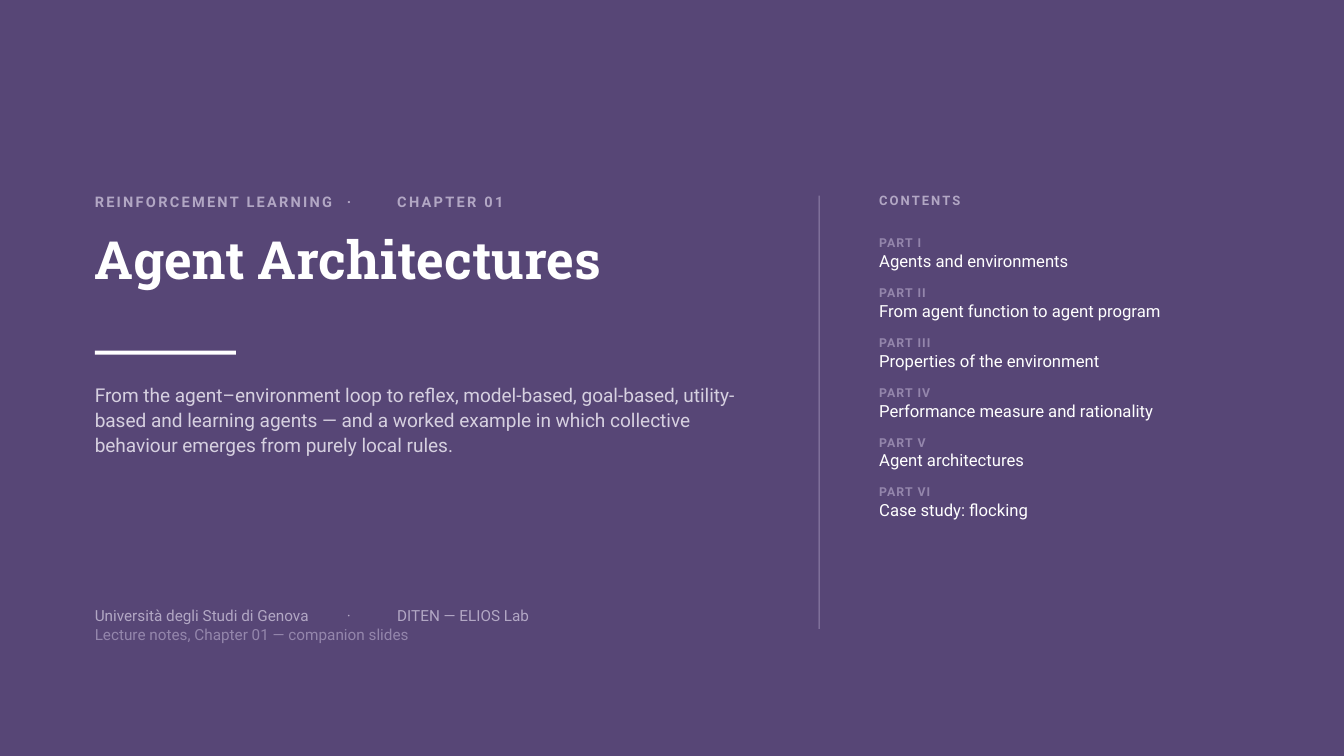
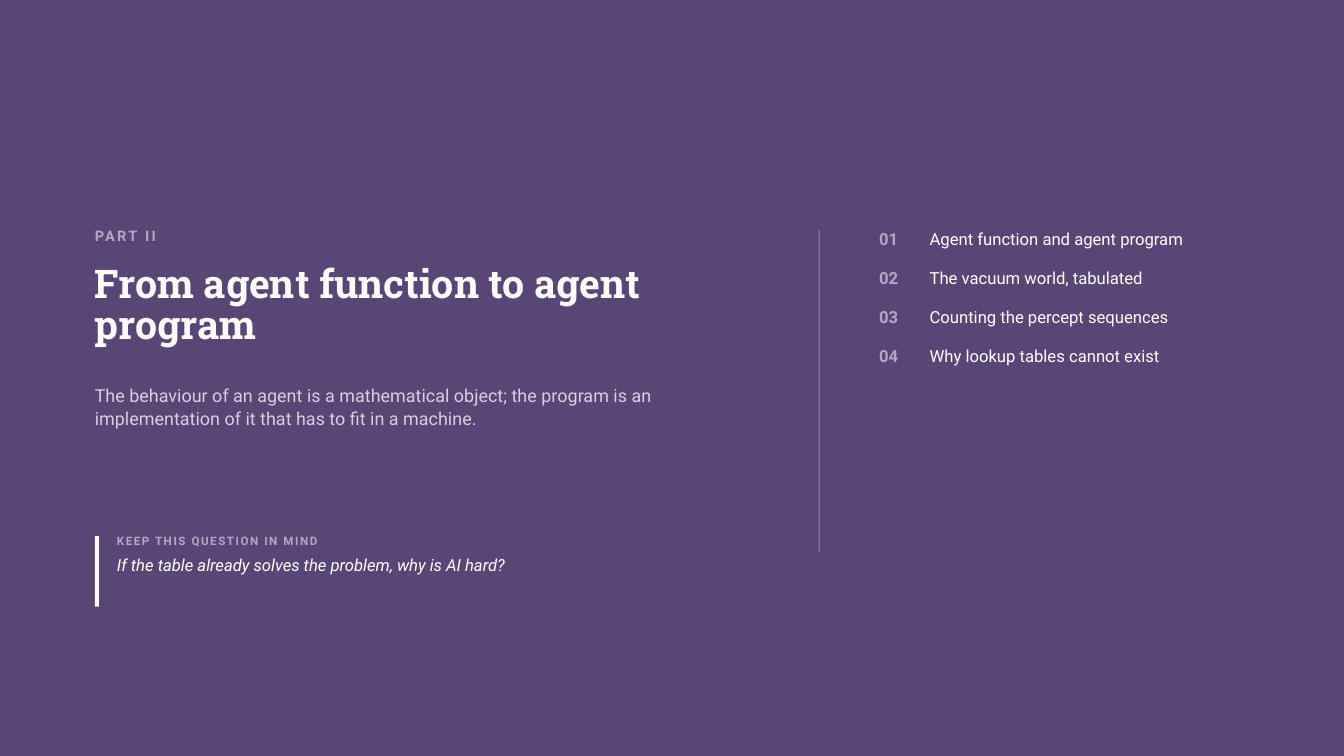
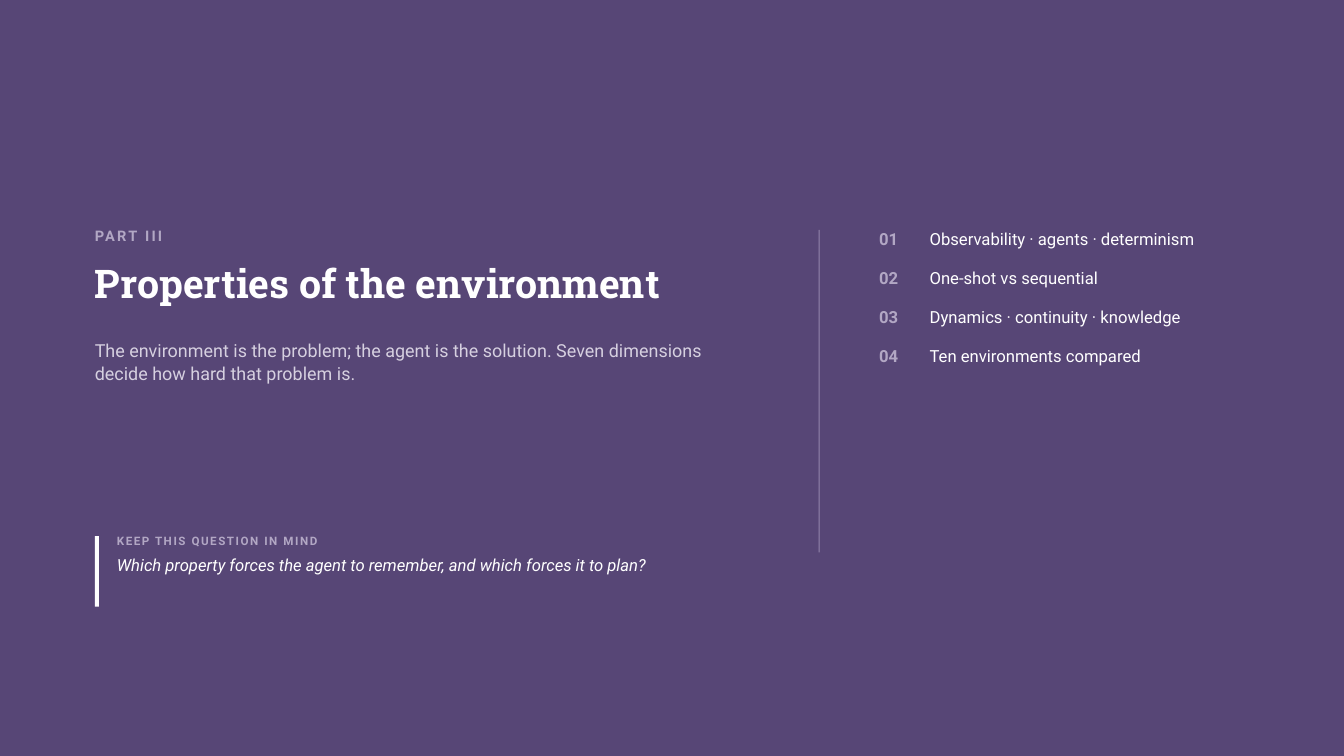
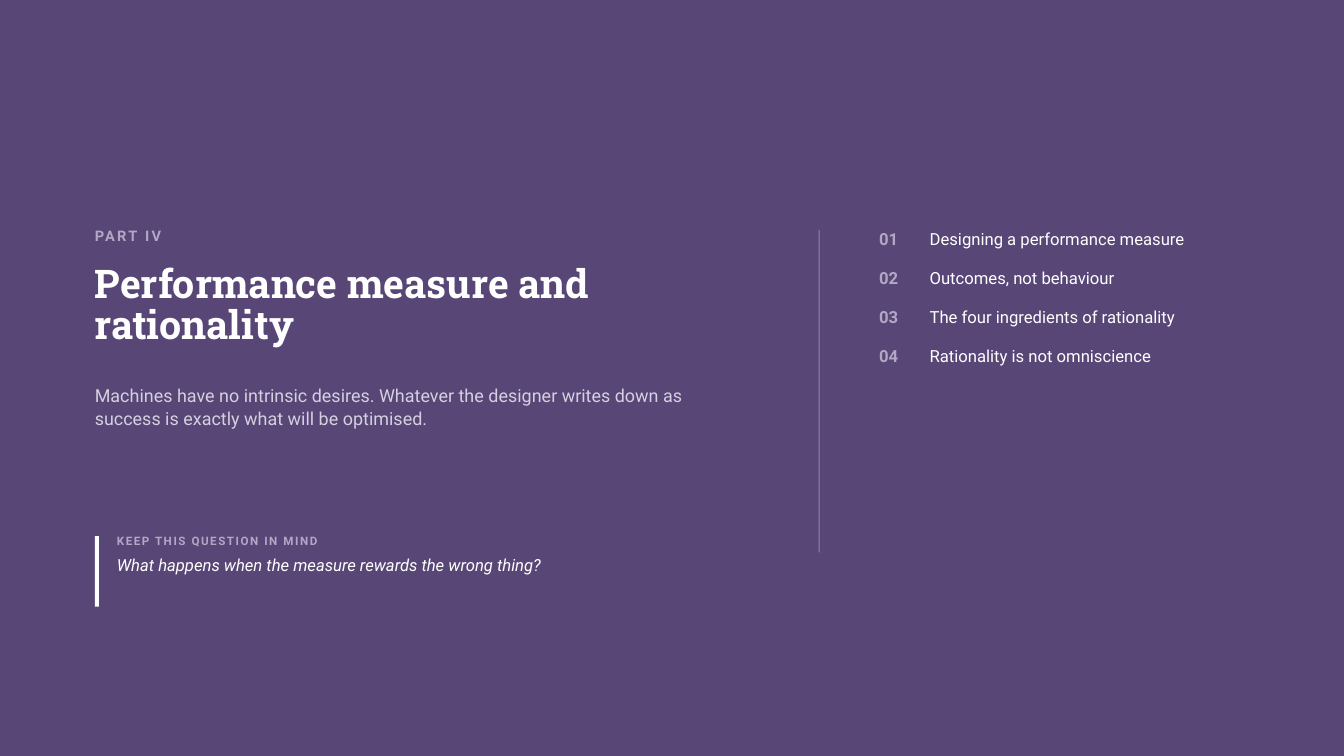
from dataclasses import dataclass, field

from lxml.etree import SubElement
from pptx import Presentation
from pptx.dml.color import RGBColor
from pptx.enum.shapes import MSO_SHAPE
from pptx.enum.text import MSO_ANCHOR, MSO_AUTO_SIZE, PP_ALIGN
from pptx.oxml.ns import qn
from pptx.presentation import Presentation as Deck
from pptx.slide import Slide
from pptx.text.text import TextFrame
from pptx.util import Inches, Pt


# Theme: colours and text styles
@dataclass(frozen=True)
class Style:
    size: float
    line: float
    color: str
    bold: bool = False
    italic: bool = False
    spacing: float = 0
    font: str = "Roboto"


@dataclass(frozen=True)
class Theme:
    ground: str = "574676"
    white: str = "FFFFFF"
    rule: str = "9486AC"
    eyebrow: Style = Style(10.4, 10.4, "B2A7C4", bold=True, spacing=1.6)
    cover_title: Style = Style(37.6, 38.4, "FFFFFF", bold=True, font="Roboto Slab")
    part_title: Style = Style(28.2, 29.9, "FFFFFF", bold=True, font="Roboto Slab")
    cover_lead: Style = Style(13.6, 18, "D6D0E0")
    part_lead: Style = Style(12.8, 16.4, "D6D0E0")
    affiliation: Style = Style(10.9, 10.9, "B2A7C4")
    notes: Style = Style(10.9, 10.9, "9486AC")
    contents: Style = Style(9.3, 9.3, "B2A7C4", bold=True, spacing=1.5)
    part_label: Style = Style(8.8, 8.8, "9486AC", bold=True, spacing=0.8)
    part_name: Style = Style(11.9, 12.8, "FFFFFF")
    number: Style = Style(11.9, 13.8, "B2A7C4", bold=True)
    topic: Style = Style(11.9, 13.8, "FFFFFF")
    prompt: Style = Style(8.3, 8.3, "B2A7C4", bold=True, spacing=1.1)
    question: Style = Style(11.9, 14, "FFFFFF", italic=True)


THEME = Theme()
LEFT = 0.94
RULE_LEFT = 8.12
LIST_LEFT, LIST_WIDTH = 8.72, 3.7


# Content
@dataclass(frozen=True)
class Span:
    text: str
    style: Style


@dataclass(frozen=True)
class Para:
    spans: list[Span]
    before: float = 0
    tabs: list[float] = field(default_factory=list)


@dataclass(frozen=True)
class Area:
    left: float
    top: float
    width: float
    height: float


@dataclass(frozen=True)
class Part:
    numeral: str
    title: str
    title_lines: int
    lead: str
    question: str
    topics: list[str]


CHAPTER_PARTS = {
    "I": "Agents and environments",
    "II": "From agent function to agent program",
    "III": "Properties of the environment",
    "IV": "Performance measure and rationality",
    "V": "Agent architectures",
    "VI": "Case study: flocking",
}

PARTS = [
    Part(
        "II", CHAPTER_PARTS["II"], 2,
        "The behaviour of an agent is a mathematical object; the program is an "
        "implementation of it that has to fit in a machine.",
        "If the table already solves the problem, why is AI hard?",
        ["Agent function and agent program", "The vacuum world, tabulated",
         "Counting the percept sequences", "Why lookup tables cannot exist"],
    ),
    Part(
        "III", CHAPTER_PARTS["III"], 1,
        "The environment is the problem; the agent is the solution. Seven "
        "dimensions decide how hard that problem is.",
        "Which property forces the agent to remember, and which forces it to plan?",
        ["Observability · agents · determinism", "One-shot vs sequential",
         "Dynamics · continuity · knowledge", "Ten environments compared"],
    ),
    Part(
        "IV", CHAPTER_PARTS["IV"], 2,
        "Machines have no intrinsic desires. Whatever the designer writes down as "
        "success is exactly what will be optimised.",
        "What happens when the measure rewards the wrong thing?",
        ["Designing a performance measure", "Outcomes, not behaviour",
         "The four ingredients of rationality", "Rationality is not omniscience"],
    ),
]


# Drawing helpers
def line(text: str, style: Style, before: float = 0, tabs: list[float] | None = None) -> Para:
    return Para([Span(text, style)], before, tabs or [])


def fill_frame(frame: TextFrame, paras: list[Para]) -> None:
    frame.word_wrap = True
    frame.auto_size = MSO_AUTO_SIZE.NONE
    frame.vertical_anchor = MSO_ANCHOR.TOP
    frame.margin_left = frame.margin_right = frame.margin_top = frame.margin_bottom = 0
    for index, para in enumerate(paras):
        paragraph = frame.paragraphs[0] if index == 0 else frame.add_paragraph()
        properties = paragraph._p.get_or_add_pPr()
        properties.set("marL", "0")
        properties.set("indent", "0")
        SubElement(properties, qn("a:buNone"))
        if para.tabs:
            stops = SubElement(properties, qn("a:tabLst"))
            for stop in para.tabs:
                SubElement(stops, qn("a:tab"), pos=str(Inches(stop)), algn="l")
        paragraph.alignment = PP_ALIGN.LEFT
        paragraph.line_spacing = Pt(para.spans[0].style.line)
        paragraph.space_before = Pt(para.before)
        paragraph.space_after = Pt(0)
        for span in para.spans:
            run = paragraph.add_run()
            run.text = span.text
            font, style = run.font, span.style
            font.name, font.size = style.font, Pt(style.size)
            font.bold, font.italic = style.bold, style.italic
            font.color.rgb = RGBColor.from_string(style.color)
            if style.spacing:
                run._r.get_or_add_rPr().set("spc", str(round(style.spacing * 100)))


def fill_placeholder(page: Slide, index: int, area: Area, paras: list[Para]) -> None:
    holder = page.placeholders[index]
    holder.left, holder.top = Inches(area.left), Inches(area.top)
    holder.width, holder.height = Inches(area.width), Inches(area.height)
    fill_frame(holder.text_frame, paras)


def add_text(page: Slide, area: Area, paras: list[Para]) -> None:
    box = page.shapes.add_textbox(
        Inches(area.left), Inches(area.top), Inches(area.width), Inches(area.height))
    fill_frame(box.text_frame, paras)


def add_bar(page: Slide, area: Area, color: str) -> None:
    bar = page.shapes.add_shape(
        MSO_SHAPE.RECTANGLE,
        Inches(area.left), Inches(area.top), Inches(area.width), Inches(area.height))
    bar.shadow.inherit = False
    bar.fill.solid()
    bar.fill.fore_color.rgb = RGBColor.from_string(color)
    bar.line.fill.background()


def add_page(deck: Deck, top: float, rule_height: float, eyebrow: Para) -> Slide:
    """Add a page with its eyebrow line and the rule between the columns."""
    page = deck.slides.add_slide(deck.slide_layouts[1])
    add_text(page, Area(LEFT, top, 6.9, 0.26), [eyebrow])
    add_bar(page, Area(RULE_LEFT, top, 0.01, rule_height), THEME.rule)
    return page


# Slides
def add_cover(deck: Deck) -> None:
    top = 1.94
    eyebrow = line("REINFORCEMENT LEARNING\t·\tCHAPTER 01", THEME.eyebrow, tabs=[2.55, 2.79])
    page = add_page(deck, top, 4.3, eyebrow)
    fill_placeholder(page, 0, Area(LEFT, 2.34, 7.4, 1.1),
                     [line("Agent Architectures", THEME.cover_title)])
    add_bar(page, Area(LEFT, 3.48, 1.4, 0.04), THEME.white)
    add_text(page, Area(LEFT, 3.78, 6.7, 1.5), [line(
        "From the agent–environment loop to reflex, model-based, goal-based, "
        "utility-based and learning agents — and a worked example in which "
        "collective behaviour emerges from purely local rules.", THEME.cover_lead)])
    add_text(page, Area(LEFT, 6.04, 6.9, 0.62), [
        line("Università degli Studi di Genova\t·\tDITEN — ELIOS Lab",
             THEME.affiliation, tabs=[2.19, 2.31]),
        line("Lecture notes, Chapter 01 — companion slides", THEME.notes, before=3),
    ])
    add_text(page, Area(LIST_LEFT, top, LIST_WIDTH, 0.24), [line("CONTENTS", THEME.contents)])
    entries: list[Para] = []
    for numeral, name in CHAPTER_PARTS.items():
        entries.append(line(f"PART {numeral}", THEME.part_label, before=12 if entries else 0))
        entries.append(line(name, THEME.part_name, before=2))
    fill_placeholder(page, 1, Area(LIST_LEFT, 2.36, LIST_WIDTH, 4), entries)


def add_part(deck: Deck, part: Part) -> None:
    top, title_top, question_top = 2.28, 2.62, 5.32
    title_height = 0.44 * part.title_lines
    page = add_page(deck, top, 3.2, line(f"PART {part.numeral}", THEME.eyebrow))
    fill_placeholder(page, 0, Area(LEFT, title_top, 6.9, title_height),
                     [line(part.title, THEME.part_title)])
    add_text(page, Area(LEFT, title_top + title_height + 0.3, 6.5, 0.5),
             [line(part.lead, THEME.part_lead)])
    add_bar(page, Area(LEFT, question_top, 0.04, 0.7), THEME.white)
    add_text(page, Area(LEFT + 0.22, question_top, 6.3, 0.74), [
        line("KEEP THIS QUESTION IN MIND", THEME.prompt),
        line(part.question, THEME.question, before=5),
    ])
    fill_placeholder(page, 1, Area(LIST_LEFT, top, LIST_WIDTH, 3.2), [
        Para([Span(f"{number:02}\t", THEME.number), Span(topic, THEME.topic)],
             before=14 if number > 1 else 0, tabs=[0.31])
        for number, topic in enumerate(part.topics, start=1)
    ])


def main() -> None:
    deck = Presentation()
    deck.slide_width, deck.slide_height = Inches(13.33), Inches(7.5)
    ground = deck.slide_master.background.fill
    ground.solid()
    ground.fore_color.rgb = RGBColor.from_string(THEME.ground)
    add_cover(deck)
    for part in PARTS:
        add_part(deck, part)
    deck.save("out.pptx")


if __name__ == "__main__":
    main()
